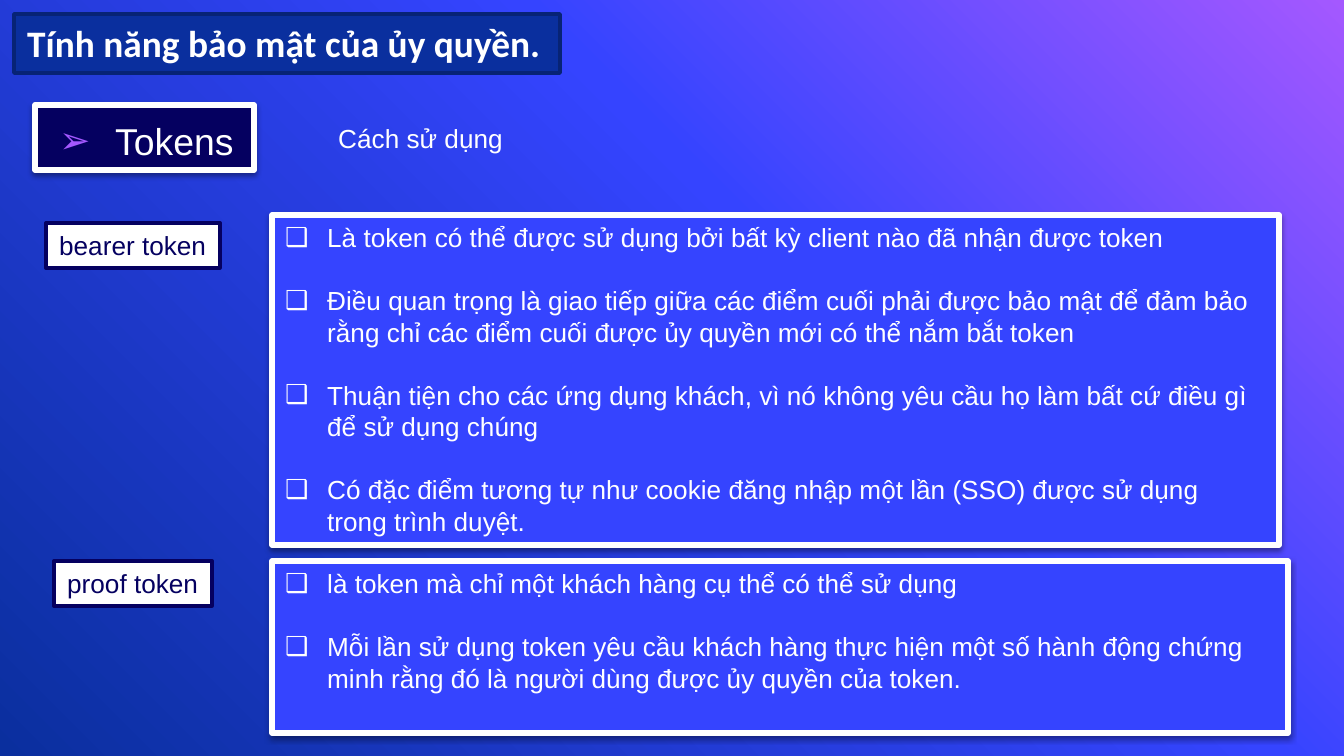
from lxml.etree import SubElement
from pptx import Presentation
from pptx.dml.color import RGBColor
from pptx.enum.shapes import MSO_SHAPE
from pptx.enum.text import MSO_ANCHOR, PP_ALIGN
from pptx.oxml.ns import qn
from pptx.util import Pt

PX = 9144000 / 1344  # EMU per px

COLORS = {
    "white": "FFFFFF",
    "navy": "050060",
    "blue": "3544FF",
    "royal": "0A2F9E",
    "royal_dark": "072375",
    "violet": "A458FF",
    "black": "000000",
}


def emu(px):
    return round(px * PX)


def rgb(name):
    return RGBColor.from_string(COLORS[name])


def add_xml(parent, tag, **attributes):
    return SubElement(parent, qn(tag), {key: str(value) for key, value in attributes.items()})


class SlideBuilder:
    font = "Arial"
    size = 14

    def __init__(self, slide):
        self.slide = slide

    def background(self, stops, angle):
        fill = self.slide.background.fill
        fill.gradient()
        fill.gradient_angle = angle
        stop_list = fill._fill._gradFill.find(qn("a:gsLst"))
        for old_stop in list(stop_list):
            stop_list.remove(old_stop)
        for percent, color in stops:
            stop = add_xml(stop_list, "a:gs", pos=percent * 1000)
            add_xml(stop, "a:srgbClr", val=COLORS[color])

    def shadow(self, shape):
        effects = shape._element.spPr.find(qn("a:effectLst"))
        outer = add_xml(effects, "a:outerShdw", blurRad=Pt(3.1), dist=Pt(1.6),
                        dir=90 * 60000, rotWithShape=0)
        color = add_xml(outer, "a:srgbClr", val=COLORS["black"])
        add_xml(color, "a:alpha", val=38000)

    def bullet(self, paragraph, char, color, margin, hanging):
        properties = paragraph._p.get_or_add_pPr()
        properties.set("marL", str(emu(margin)))
        properties.set("indent", str(-emu(hanging)))
        bullet_color = add_xml(properties, "a:buClr")
        add_xml(bullet_color, "a:srgbClr", val=COLORS[color])
        add_xml(properties, "a:buFont", typeface=self.font)
        add_xml(properties, "a:buChar", char=char)

    def set_text(self, shape, lines, color, size=None, font=None, bold=False, wrap=False):
        frame = shape.text_frame
        frame.word_wrap = wrap
        frame.vertical_anchor = MSO_ANCHOR.TOP
        frame.text = "\n".join(lines)
        for paragraph in frame.paragraphs:
            paragraph.alignment = PP_ALIGN.LEFT
            for run in paragraph.runs:
                run.font.name = font or self.font
                run.font.size = Pt(size or self.size)
                run.font.bold = bold
                run.font.color.rgb = rgb(color)
        return frame.paragraphs

    def label(self, box, text, color):
        shape = self.slide.shapes.add_textbox(*map(emu, box))
        self.set_text(shape, [text], color)

    def panel(self, box, lines, fill, line, line_width, color="white", shadow=False, **text_style):
        shape = self.slide.shapes.add_shape(MSO_SHAPE.RECTANGLE, *map(emu, box))
        shape.shadow.inherit = False
        shape.fill.solid()
        shape.fill.fore_color.rgb = rgb(fill)
        shape.line.color.rgb = rgb(line)
        shape.line.width = Pt(line_width)
        if shadow:
            self.shadow(shape)
        return self.set_text(shape, lines, color, **text_style)

    def tag(self, box, text):
        self.panel(box, [text], "white", "navy", 2, color="navy")

    def bullet_panel(self, box, lines):
        paragraphs = self.panel(box, lines, "blue", "white", 3, shadow=True, wrap=True)
        for index, paragraph in enumerate(paragraphs):
            if index:
                paragraph.space_before = Pt(17)
            self.bullet(paragraph, "❑", "white", 42, 42)


def main():
    presentation = Presentation()
    presentation.slide_width = emu(1344)
    presentation.slide_height = emu(756)
    builder = SlideBuilder(presentation.slides.add_slide(presentation.slide_layouts[6]))
    builder.background([(0, "violet"), (39, "blue"), (100, "royal")], angle=225)

    # Usage heading
    builder.label((325, 116, 192, 46), "Cách sử dụng", "white")

    # Bearer token
    builder.tag((46, 223, 174, 45), "bearer token")
    builder.bullet_panel((272, 215, 1007, 330), [
        "Là token có thể được sử dụng bởi bất kỳ client nào đã nhận được token",
        "Điều quan trọng là giao tiếp giữa các điểm cuối phải được bảo mật để đảm bảo "
        "rằng chỉ các điểm cuối được ủy quyền mới có thể nắm bắt token",
        "Thuận tiện cho các ứng dụng khách, vì nó không yêu cầu họ làm bất cứ điều gì "
        "để sử dụng chúng",
        "Có đặc điểm tương tự như cookie đăng nhập một lần (SSO) được sử dụng "
        "trong trình duyệt.",
    ])

    # Proof token
    builder.tag((54, 561, 158, 45), "proof token")
    builder.bullet_panel((272, 561, 1016, 172), [
        "là token mà chỉ một khách hàng cụ thể có thể sử dụng",
        "Mỗi lần sử dụng token yêu cầu khách hàng thực hiện một số hành động chứng "
        "minh rằng đó là người dùng được ủy quyền của token.",
    ])

    # Slide title
    title = builder.panel((14, 14, 546, 59), ["Tính năng bảo mật của ủy quyền."],
                          "royal", "royal_dark", 2, size=20, font="Calibri", bold=True)[0]
    title.space_before = Pt(2)

    # Topic
    topic = builder.panel((35, 105, 219, 65), ["Tokens"], "navy", "white", 3,
                          shadow=True, size=20)[0]
    topic.line_spacing = 1.15
    topic.space_before = Pt(6)
    builder.bullet(topic, "➢", "violet", 67, 56)

    presentation.save("out.pptx")


if __name__ == "__main__":
    main()
